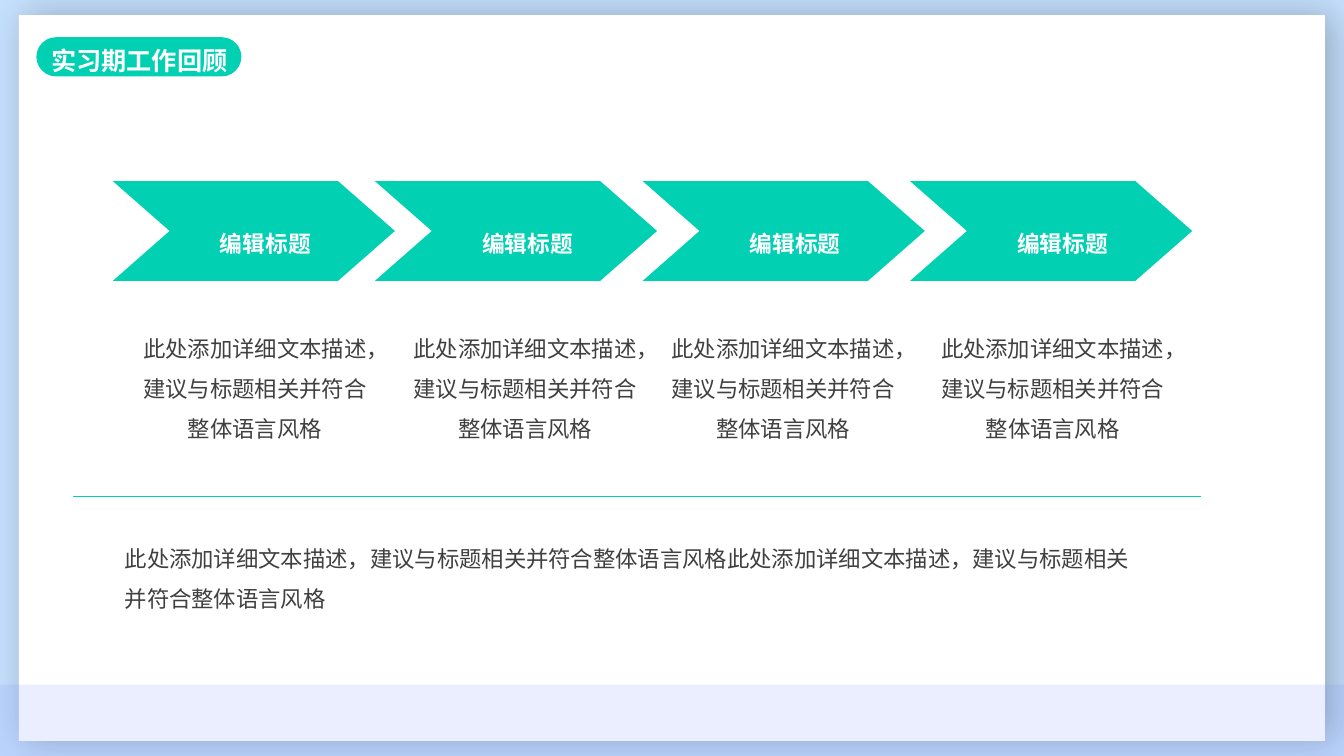
from lxml import etree
from pptx import Presentation
from pptx.dml.color import RGBColor
from pptx.enum.shapes import MSO_CONNECTOR, MSO_SHAPE
from pptx.enum.text import MSO_ANCHOR, PP_ALIGN
from pptx.oxml.ns import qn
from pptx.util import Pt

RECTANGLE, ROUNDED, CHEVRON = MSO_SHAPE.RECTANGLE, MSO_SHAPE.ROUNDED_RECTANGLE, MSO_SHAPE.CHEVRON
STRAIGHT = MSO_CONNECTOR.STRAIGHT
TOP, MIDDLE = MSO_ANCHOR.TOP, MSO_ANCHOR.MIDDLE
LEFT, CENTER, JUSTIFY = PP_ALIGN.LEFT, PP_ALIGN.CENTER, PP_ALIGN.JUSTIFY

FONT = "Noto Sans CJK SC"
COLORS = {
    "sky": "C5E0FD",
    "white": "FFFFFF",
    "band": "7889FF",
    "teal": "01D0B3",
    "body": "404040",
    "shadow": "000000",
}
WIDTH, HEIGHT = 960, 540
DESCRIPTION = "此处添加详细文本描述，建议与标题相关并符合整体语言风格"
# Left edges of each step's arrow and of its description
STEPS = [(80.5, 92.15), (267.75, 285.1), (459, 469.4), (650, 662)]


def color(name):
    return RGBColor.from_string(COLORS[name])


def add_block(slide, kind, box, fill):
    shape = slide.shapes.add_shape(kind, *map(Pt, box))
    shape.shadow.inherit = False
    shape.fill.solid()
    shape.fill.fore_color.rgb = color(fill)
    shape.line.fill.background()
    return shape


def add_text(slide, box, text, size, ink, align=LEFT, spacing=1.0, bold=False, anchor=TOP):
    text_box = slide.shapes.add_textbox(*map(Pt, box))
    frame = text_box.text_frame
    frame.word_wrap = True
    frame.vertical_anchor = anchor
    paragraph = frame.paragraphs[0]
    paragraph.alignment = align
    paragraph.line_spacing = spacing
    run = paragraph.add_run()
    run.text = text
    font = run.font
    font.size, font.bold, font.name = Pt(size), bold, FONT
    font.color.rgb = color(ink)
    etree.SubElement(font._element, qn("a:ea"), typeface=FONT)
    return run


def set_alpha(parent, percent):
    etree.SubElement(parent, qn("a:alpha"), val=str(percent * 1000))


def add_card_shadow(shape):
    effects = shape._element.spPr.find(qn("a:effectLst"))
    shadow = etree.SubElement(effects, qn("a:outerShdw"), blurRad=str(Pt(26)),
                              dist=str(Pt(6)), dir="0", algn="ctr", rotWithShape="0")
    set_alpha(etree.SubElement(shadow, qn("a:srgbClr"), val=COLORS["shadow"]), 24)


def add_backdrop(slide, width, height):
    """Sky frame, white card with a shadow, and a translucent band at the foot."""
    add_block(slide, RECTANGLE, (0, 0, width, height), "sky")
    card = add_block(slide, RECTANGLE, (13.5, 10.8, width - 27.2, height - 21.6), "white")
    add_card_shadow(card)
    band_top = height - 51
    band = add_block(slide, RECTANGLE, (0, band_top, width, height - band_top), "band")
    set_alpha(band._element.spPr.find(qn("a:solidFill"))[0], 14)


def add_heading(slide, left, top, width, height):
    pill = add_block(slide, ROUNDED, (left, top, width, height), "teal")
    pill.adjustments[0] = 0.5
    add_text(slide, (left + 3.5, top + 2.2, width + 9, height + 0.8),
             "实习期工作回顾", 18, "white", JUSTIFY, bold=True)


def add_step(slide, left, top, width, height, description_left):
    arrow = add_block(slide, CHEVRON, (left, top, width, height), "teal")
    arrow.adjustments[0] = 0.57
    label = add_text(slide, (left + 23.5, top + 19.7, 171, 32.4), "编辑标题", 28, "white",
                     CENTER, 1.2, bold=True, anchor=MIDDLE)
    label.font._element.set("baseline", "-3000")
    add_text(slide, (description_left, top + 96.8, 180, 94.3),
             DESCRIPTION, 16, "body", CENTER, 1.5)


def add_summary(slide, left, top, width):
    """Thin rule with the closing paragraph below it."""
    rule = slide.shapes.add_connector(STRAIGHT, Pt(left), Pt(top), Pt(left + width), Pt(top))
    rule.line.color.rgb = color("teal")
    rule.line.width = Pt(0.5)
    etree.SubElement(rule._element.spPr, qn("a:effectLst"))
    add_text(slide, (left + 29.5, top + 21.6, width - 67, 62),
             DESCRIPTION * 2, 16, "body", spacing=1.5)


def main():
    presentation = Presentation()
    presentation.slide_width, presentation.slide_height = Pt(WIDTH), Pt(HEIGHT)
    slide = presentation.slides.add_slide(presentation.slide_layouts[6])
    add_backdrop(slide, WIDTH, HEIGHT)
    add_heading(slide, 26, 26.6, 146.4, 28)
    for arrow_left, description_left in STEPS:
        add_step(slide, arrow_left, 129.3, 201.6, 71.4, description_left)
    add_summary(slide, 52.5, 354.3, 805.7)
    presentation.save("out.pptx")


if __name__ == "__main__":
    main()
